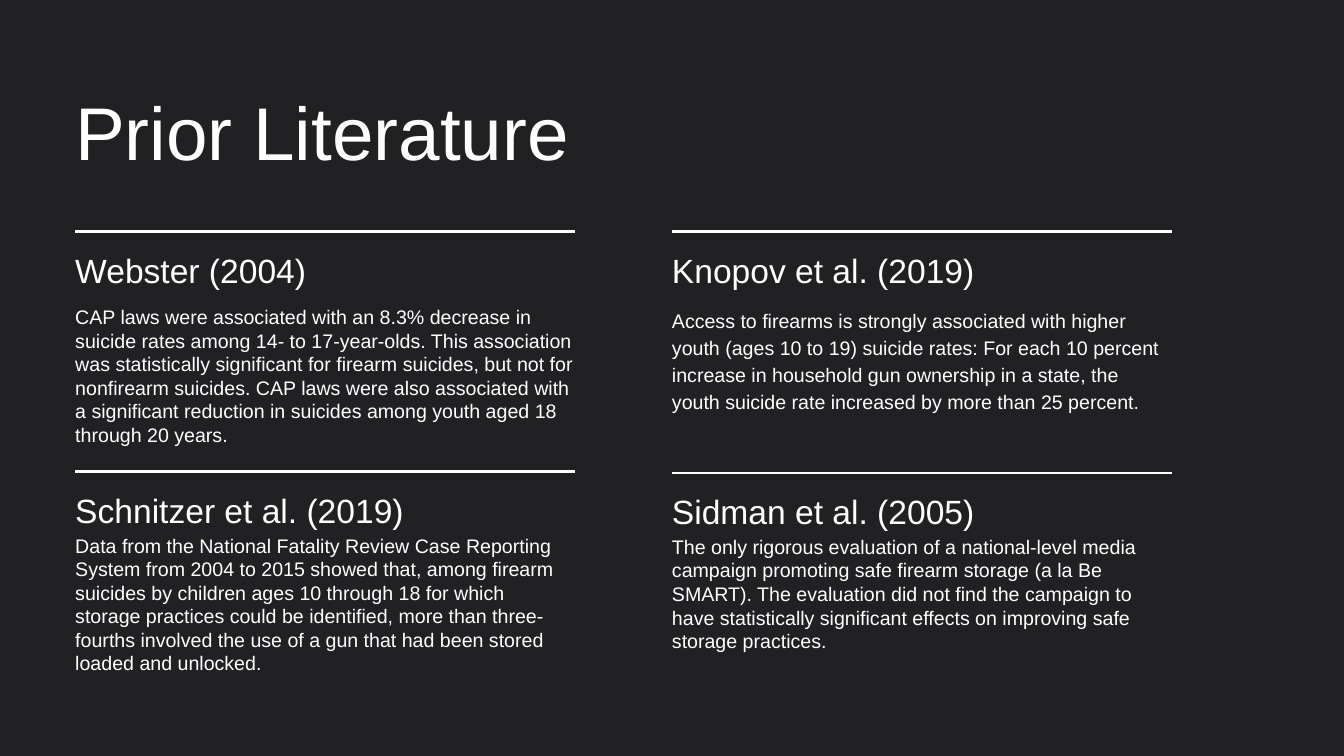
import pptx
import pptx.util
import pptx.dml.color
import pptx.enum.shapes
import pptx.enum.text
import pptx.oxml.ns
import lxml.etree

Inches = pptx.util.Inches
WHITE = pptx.dml.color.RGBColor(0xFF, 0xFF, 0xFF)
CHARCOAL = pptx.dml.color.RGBColor(0x21, 0x21, 0x24)
FONT = "Arial"

TITLE = "Prior Literature"
STUDIES = [
    {
        "heading": "Webster (2004)",
        "finding": "CAP laws were associated with an 8.3% decrease in suicide rates among 14- to 17-year-olds. This association was statistically significant for firearm suicides, but not for nonfirearm suicides. CAP laws were also associated with a significant reduction in suicides among youth aged 18 through 20 years.",
        "column": 0, "top": 3.45, "gap": 1.09, "height": 2.12, "spacing": 1.0,
    },
    {
        "heading": "Knopov et al. (2019)",
        "finding": "Access to firearms is strongly associated with higher youth (ages 10 to 19) suicide rates: For each 10 percent increase in household gun ownership in a state, the youth suicide rate increased by more than 25 percent.",
        "column": 1, "top": 3.45, "gap": 1.09, "height": 1.57, "spacing": 1.15,
    },
    {
        "heading": "Schnitzer et al. (2019)",
        "finding": "Data from the National Fatality Review Case Reporting System from 2004 to 2015 showed that, among firearm suicides by children ages 10 through 18 for which storage practices could be identified, more than three-fourths involved the use of a gun that had been stored loaded and unlocked.",
        "column": 0, "top": 7.02, "gap": 0.92, "height": 2.12, "spacing": 1.0,
    },
    {
        "heading": "Sidman et al. (2005)",
        "finding": "The only rigorous evaluation of a national-level media campaign promoting safe firearm storage (a la Be SMART). The evaluation did not find the campaign to have statistically significant effects on improving safe storage practices.",
        "column": 1, "top": 7.04, "gap": 0.92, "height": 1.77, "spacing": 1.0,
    },
]

COLUMN_LEFTS = [1.12, 10]
COLUMN_WIDTH = 7.44
HEADING_GAP = 0.27
HEADING_HEIGHT = 0.61


def write_text(shape, text, size, spacing=1.0, color=WHITE):
    frame = shape.text_frame
    frame.word_wrap = True
    frame.auto_size = pptx.enum.text.MSO_AUTO_SIZE.NONE
    frame.vertical_anchor = pptx.enum.text.MSO_ANCHOR.TOP
    frame.margin_left = frame.margin_right = 0
    frame.margin_top = frame.margin_bottom = 0
    paragraph = frame.paragraphs[0]
    paragraph.alignment = pptx.enum.text.PP_ALIGN.LEFT
    paragraph.line_spacing = spacing
    paragraph.space_before = pptx.util.Pt(0)
    run = paragraph.add_run()
    run.text = text
    run.font.name = FONT
    run.font.size = pptx.util.Pt(size)
    run.font.color.rgb = color


def add_rule(slide, left, top):
    rule = slide.shapes.add_connector(
        pptx.enum.shapes.MSO_CONNECTOR.STRAIGHT,
        Inches(left), Inches(top), Inches(left + COLUMN_WIDTH), Inches(top),
    )
    rule.line.color.rgb = WHITE
    rule.line.width = pptx.util.Pt(3)
    lxml.etree.SubElement(rule._element.spPr, pptx.oxml.ns.qn("a:effectLst"))


def add_study(slide, study):
    left, top = COLUMN_LEFTS[study["column"]], study["top"]
    add_rule(slide, left, top)
    heading = slide.shapes.add_textbox(
        Inches(left), Inches(top + HEADING_GAP), Inches(COLUMN_WIDTH), Inches(HEADING_HEIGHT)
    )
    write_text(heading, study["heading"], size=36)
    finding = slide.shapes.add_textbox(
        Inches(left), Inches(top + study["gap"]), Inches(COLUMN_WIDTH), Inches(study["height"])
    )
    write_text(finding, study["finding"], size=21, spacing=study["spacing"])


def main():
    presentation = pptx.Presentation()
    presentation.slide_width = Inches(20)
    presentation.slide_height = Inches(11.25)
    slide = presentation.slides.add_slide(presentation.slide_layouts[5])
    slide.background.fill.solid()
    slide.background.fill.fore_color.rgb = CHARCOAL

    title = slide.shapes.title
    title.left, title.top = Inches(1.12), Inches(1.28)
    title.width, title.height = Inches(8.88), Inches(1.35)
    write_text(title, TITLE, size=80)

    for study in STUDIES:
        add_study(slide, study)
    presentation.save("out.pptx")


if __name__ == "__main__":
    main()
